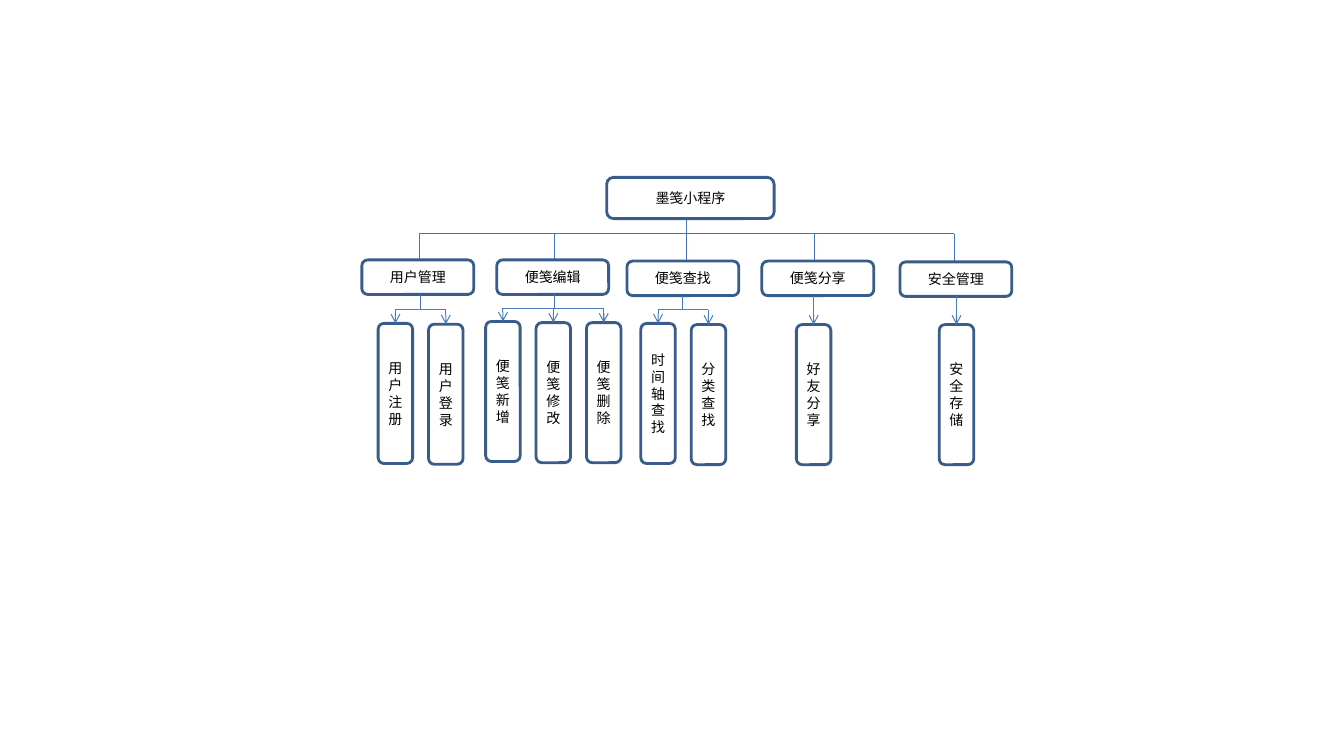
"""Draw the function tree of the notes mini program on one slide."""
from dataclasses import dataclass

from lxml import etree
from pptx import Presentation
from pptx.dml.color import RGBColor
from pptx.enum import shapes, text
from pptx.util import Cm, Pt

ROOT = ("墨笺小程序", 15.29, 4.47)
# label, left, top, drop x, stub x, rail y, first leaf left, leaves (label, top)
TREE = [
    ("用户管理", 9.12, 6.55, 10.57, 10.59, 7.8, 9.53,
     [("用户注册", 8.15), ("用户登录", 8.17)]),
    ("便笺编辑", 12.52, 6.55, 13.97, 13.97, 7.77, 12.24,
     [("便笺新增", 8.1), ("便笺修改", 8.13), ("便笺删除", 8.13)]),
    ("便笺查找", 15.8, 6.58, 17.3, 17.2, 7.8, 16.15,
     [("时间轴查找", 8.15), ("分类查找", 8.18)]),
    ("便笺分享", 19.2, 6.58, 20.52, 20.5, 7.8, 20.07, [("好友分享", 8.18)]),
    ("安全管理", 22.68, 6.6, 24.05, 24.08, 7.8, 23.67, [("安全存储", 8.18)]),
]
ROOT_SIZE, NODE_SIZE, LEAF_SIZE = (4.22, 1.04), (2.82, 0.87), (0.87, 3.53)
BUS, STEP = 5.89, 1.27


@dataclass
class Theme:
    edge: str = "385D8A"
    wire: str = "4A7EBB"
    trunk: str = "4472C4"
    ink: str = "000000"
    font: str = "Times New Roman"
    size: float = 10
    border: float = 2
    thin: float = 0.75


theme = Theme()
deck = Presentation()
deck.slide_width, deck.slide_height = Cm(33.87), Cm(19.05)
slide = deck.slides.add_slide(deck.slide_layouts[6])


def box(label, left, top, size):
    shape = slide.shapes.add_shape(
        shapes.MSO_SHAPE.ROUNDED_RECTANGLE,
        Cm(left), Cm(top), Cm(size[0]), Cm(size[1]))
    shape.shadow.inherit = False
    shape.fill.background()
    shape.line.color.rgb = RGBColor.from_string(theme.edge)
    shape.line.width = Pt(theme.border)
    frame = shape.text_frame
    frame.word_wrap = True
    frame.vertical_anchor = text.MSO_ANCHOR.MIDDLE
    frame.margin_left = frame.margin_right = Cm(0.2)
    para = frame.paragraphs[0]
    para.alignment = text.PP_ALIGN.CENTER
    run = para.add_run()
    run.text = label
    run.font.name = theme.font
    run.font.size = Pt(theme.size)
    run.font.color.rgb = RGBColor.from_string(theme.ink)


def wire(x1, y1, x2, y2, color, arrow=False):
    line = slide.shapes.add_connector(
        shapes.MSO_CONNECTOR.STRAIGHT, Cm(x1), Cm(y1), Cm(x2), Cm(y2))
    line.line.color.rgb = RGBColor.from_string(color)
    line.line.width = Pt(theme.thin)
    props = line._element.spPr
    space = "{%s}" % props.nsmap["a"]
    if arrow:
        etree.SubElement(props.find(space + "ln"), space + "tailEnd", type="arrow")
    etree.SubElement(props, space + "effectLst")


def branch(label, left, top, drop, stub, rail, first, leaves):
    base = top + NODE_SIZE[1]
    wire(drop, BUS, drop, top, theme.trunk)
    box(label, left, top, NODE_SIZE)
    mids = [first + LEAF_SIZE[0] / 2 + i * STEP for i in range(len(leaves))]
    start = base
    if len(leaves) > 1:
        start = rail
        wire(stub, base, stub, rail, theme.trunk)
        wire(mids[0], rail, mids[-1], rail, theme.wire)
    for mid, (name, leaf_top) in zip(mids, leaves):
        box(name, mid - LEAF_SIZE[0] / 2, leaf_top, LEAF_SIZE)
        wire(mid, start, mid, leaf_top, theme.wire, arrow=True)


def main():
    drops = [node[3] for node in TREE]
    center = drops[len(drops) // 2]
    wire(drops[0], BUS, drops[-1], BUS, theme.trunk)
    wire(center, ROOT[2] + ROOT_SIZE[1], center, BUS, theme.wire)
    box(*ROOT, ROOT_SIZE)
    for node in TREE:
        branch(*node)
    deck.save("out.pptx")


if __name__ == "__main__":
    main()
